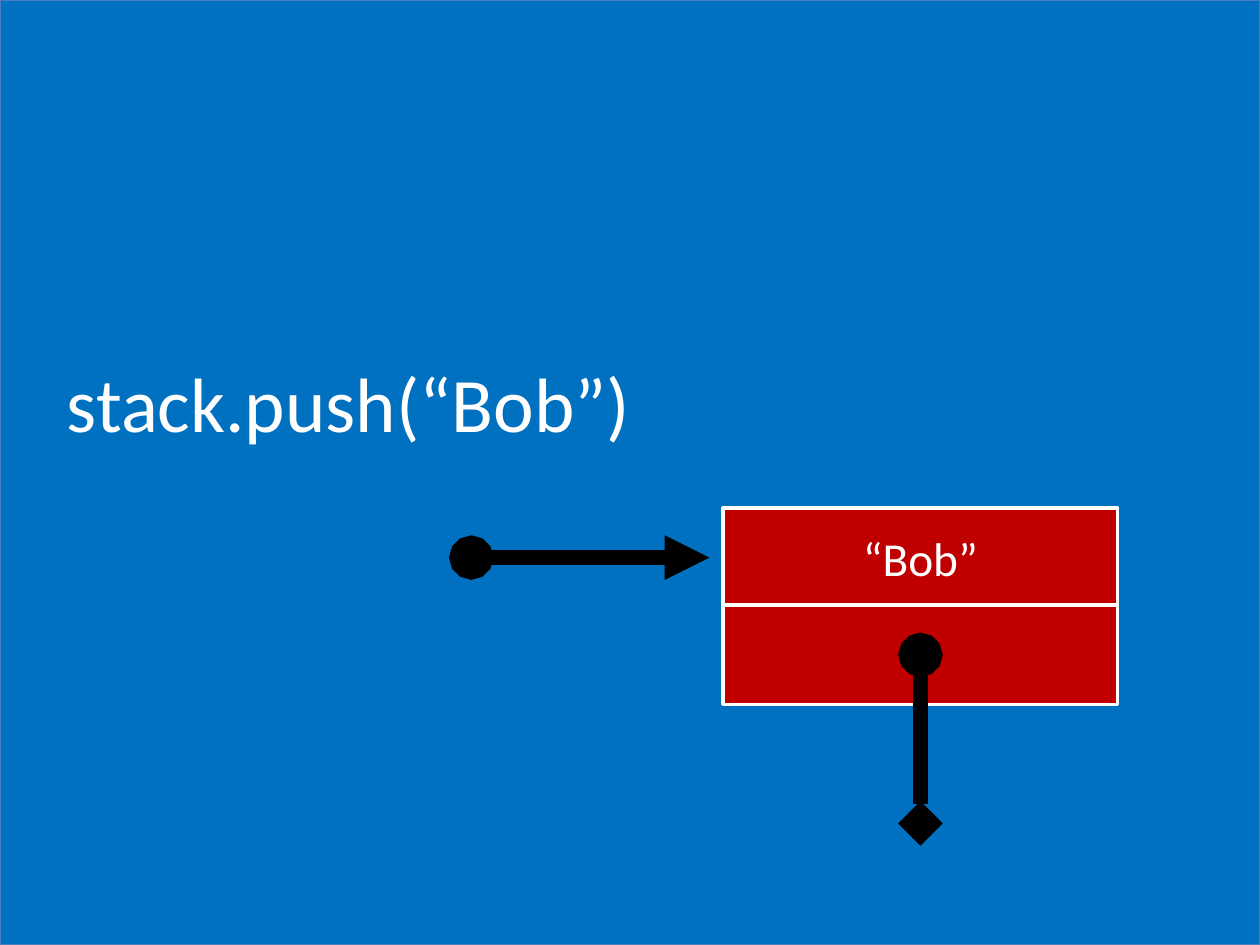
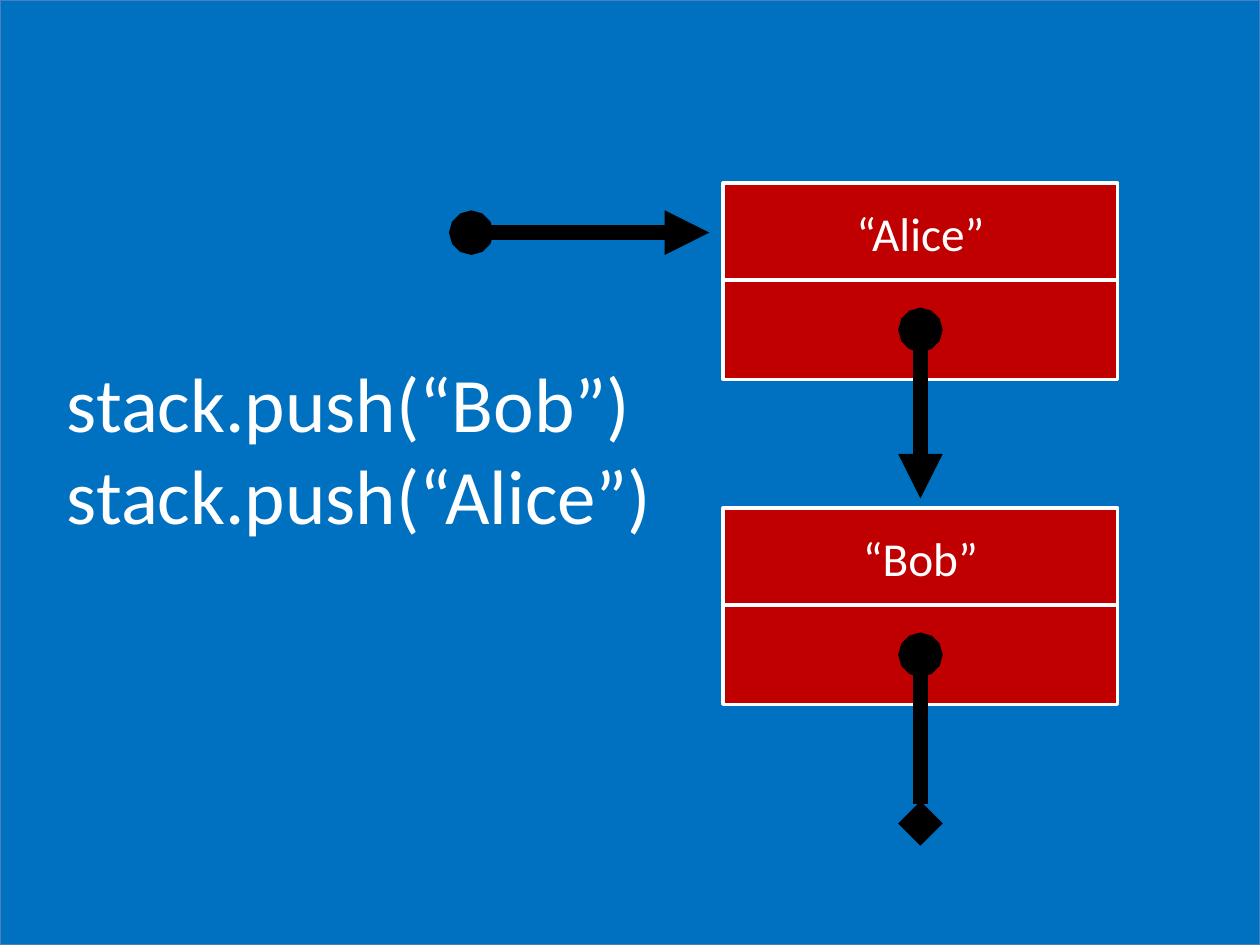
from lxml import etree
from pptx import Presentation
from pptx.dml.color import RGBColor
from pptx.enum.shapes import MSO_CONNECTOR, MSO_SHAPE
from pptx.enum.text import MSO_ANCHOR, MSO_AUTO_SIZE, PP_ALIGN
from pptx.oxml.ns import qn
from pptx.util import Cm, Pt

RECTANGLE = MSO_SHAPE.RECTANGLE
STRAIGHT = MSO_CONNECTOR.STRAIGHT
MIDDLE = MSO_ANCHOR.MIDDLE
CENTER = PP_ALIGN.CENTER
FIT_SHAPE = MSO_AUTO_SIZE.SHAPE_TO_FIT_TEXT

COLORS = {
    "background": "0070C0",
    "border": "4B7EBC",
    "node": "C00000",
    "white": "FFFFFF",
    "pointer": "000000",
}
FONT = "Calibri"
SLIDE_W, SLIDE_H = 25.4, 19.05
NODE_LEFT, NODE_W = 14.58, 7.95
CELL_H, CELL_STEP = 2.0, 1.96
BOTTOM_NODE_TOP, NODE_STEP = 10.24, 6.55
LINK_LENGTH = 3.4
HEAD_POINTER_START, HEAD_POINTER_END = 9.5, 14.3


def rgb(name):
    return RGBColor.from_string(COLORS[name])


def add_rect(shapes, left, top, width, height, fill, line, line_width):
    s = shapes.add_shape(RECTANGLE, Cm(left), Cm(top), Cm(width), Cm(height))
    s.shadow.inherit = False
    s.fill.solid()
    s.fill.fore_color.rgb = rgb(fill)
    s.line.color.rgb = rgb(line)
    s.line.width = Pt(line_width)
    return s


def style_paragraph(p, size):
    p.font.name = FONT
    p.font.size = Pt(size)
    p.font.color.rgb = rgb("white")


def add_pointer(shapes, x1, y1, x2, y2, end):
    c = shapes.add_connector(STRAIGHT, Cm(x1), Cm(y1), Cm(x2), Cm(y2))
    c.line.color.rgb = rgb("pointer")
    c.line.width = Pt(8.5)
    ln = c.line._get_or_add_ln()
    etree.SubElement(ln, qn("a:headEnd"), type="oval")
    etree.SubElement(ln, qn("a:tailEnd"), type=end)
    etree.SubElement(c._element.spPr, qn("a:effectLst"))


def add_node(shapes, top, name):
    group = shapes.add_group_shape()
    value, _ = [
        add_rect(group.shapes, NODE_LEFT, top + i * CELL_STEP, NODE_W, CELL_H,
                 "node", "white", 2)
        for i in range(2)
    ]
    tf = value.text_frame
    tf.vertical_anchor = MIDDLE
    p = tf.paragraphs[0]
    p.text = f"“{name}”"
    p.alignment = CENTER
    style_paragraph(p, 27)


def add_calls(shapes, left, top, width, names):
    box = shapes.add_textbox(Cm(left), Cm(top), Cm(width),
                             Cm(0.25 + 1.88 * len(names)))
    tf = box.text_frame
    tf.word_wrap = False
    tf.auto_size = FIT_SHAPE
    tf.text = "\n".join(f"stack.push(“{name}”)" for name in names)
    for p in tf.paragraphs:
        style_paragraph(p, 44)


def add_stack(shapes, names):
    tops = [BOTTOM_NODE_TOP - i * NODE_STEP for i in range(len(names))]
    add_pointer(shapes, HEAD_POINTER_START, tops[-1] + CELL_H / 2,
                HEAD_POINTER_END, tops[-1] + CELL_H / 2, "triangle")
    for name, top in zip(names, tops):
        add_node(shapes, top, name)
    center = NODE_LEFT + NODE_W / 2
    for i, top in enumerate(tops):
        start = top + CELL_STEP + CELL_H / 2
        add_pointer(shapes, center, start, center, start + LINK_LENGTH,
                    "triangle" if i else "diamond")


def add_stack_slide(prs, names, calls_width):
    shapes = prs.slides.add_slide(prs.slide_layouts[6]).shapes
    add_rect(shapes, 0, 0, SLIDE_W, SLIDE_H, "background", "border", 0.75)
    add_stack(shapes, names)
    add_calls(shapes, 1.1, 7.04, calls_width, names)


def main():
    prs = Presentation()
    prs.slide_width, prs.slide_height = Cm(SLIDE_W), Cm(SLIDE_H)
    add_stack_slide(prs, ["Bob"], 12.34)
    add_stack_slide(prs, ["Bob", "Alice"], 12.42)
    prs.save("out.pptx")


if __name__ == "__main__":
    main()
